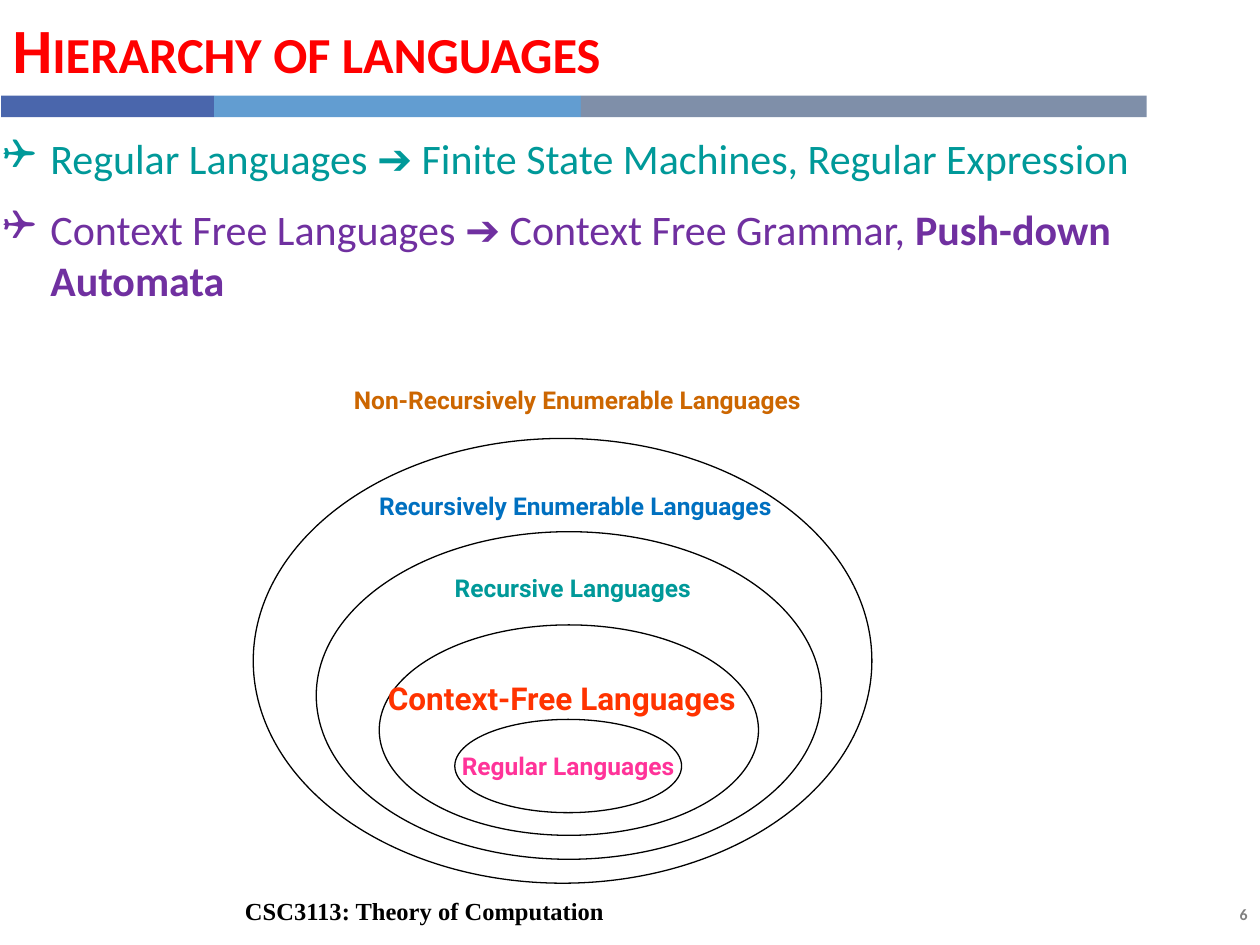
from lxml.etree import SubElement as Sub
from pptx import Presentation as Deck
from pptx.dml.color import RGBColor as Rgb
from pptx.enum.shapes import MSO_SHAPE as Kind
from pptx.enum.text import MSO_ANCHOR as Anchor, MSO_AUTO_SIZE as Fit, PP_ALIGN as Align
from pptx.oxml.ns import qn
from pptx.util import Inches, Pt

INK = {
    "black": "000000", "gray": "808080", "red": "FF0000", "teal": "009999",
    "purple": "7030A0", "pink": "FF3399", "orange": "FF3300", "blue": "0070C0",
    "brown": "CC6600", "navy": "4A66AC", "sky": "629DD1", "slate": "7F8FA9",
}
COLS, ROWS = 100, 75


class Page:
    def __init__(self, deck):
        self.slide = deck.slides.add_slide(deck.slide_layouts[1])
        self.shapes = self.slide.shapes
        self.cell = deck.slide_width / COLS, deck.slide_height / ROWS

    def grid(self, *box):
        return [round(n * self.cell[i % 2]) for i, n in enumerate(box)]

    def move(self, item, *box):
        item.left, item.top, item.width, item.height = self.grid(*box)
        frame = item.text_frame
        frame.auto_size = Fit.NONE
        frame.word_wrap = True
        return frame

    def run(self, para, text, size, ink, font="Roboto", bold=True):
        run = para.add_run()
        run.text = text
        face = run.font
        face.name, face.size, face.bold = font, Pt(size), bold
        face.color.rgb = Rgb.from_string(INK[ink])
        return run

    def title(self, text, *box):
        frame = self.move(self.shapes.title, *box)
        frame.vertical_anchor = Anchor.MIDDLE
        para = frame.paragraphs[0]
        para.alignment, para.space_before = Align.LEFT, Pt(6)
        run = self.run(para, text, 36, "red", "Calibri")
        run.font._element.set("cap", "small")

    def list(self, rows, *box):
        frame = self.move(self.slide.placeholders[1], *box)
        frame.vertical_anchor = Anchor.TOP
        for i, (ink, parts) in enumerate(rows):
            para = frame.add_paragraph() if i else frame.paragraphs[0]
            para.space_before = para.space_after = Pt(6)
            props = para._p.get_or_add_pPr()
            props.set("marL", str(Inches(0.38)))
            props.set("indent", str(-Inches(0.38)))
            Sub(props, qn("a:buFont"), typeface="Wingdings")
            Sub(props, qn("a:buChar"), char="❑")
            for text, bold in parts:
                self.run(para, text, 24, ink, "Calibri", bold)

    def label(self, text, size, ink, *box, font="Roboto", align=Align.LEFT):
        frame = self.move(self.shapes.add_textbox(0, 0, 0, 0), *box)
        para = frame.paragraphs[0]
        para.alignment = align
        self.run(para, text, size, ink, font)

    def bar(self, ink, *box):
        bar = self.shapes.add_shape(Kind.RECTANGLE, *self.grid(*box))
        bar.shadow.inherit = False
        bar.fill.solid()
        bar.fill.fore_color.rgb = Rgb.from_string(INK[ink])
        bar.line.fill.background()

    def ring(self, *box):
        ring = self.shapes.add_shape(Kind.OVAL, *self.grid(*box))
        ring.shadow.inherit = False
        ring.fill.background()
        ring.line.color.rgb = Rgb.from_string(INK["black"])
        ring.line.width = Pt(0.75)
        return ring

    def core(self, text, size, ink, *box):
        frame = self.ring(*box).text_frame
        frame.word_wrap = False
        frame.vertical_anchor = Anchor.MIDDLE
        para = frame.paragraphs[0]
        para.alignment = Align.CENTER
        self.run(para, text, size, ink)


def main():
    deck = Deck()
    deck.slide_width, deck.slide_height = Inches(10), Inches(7.5)
    page = Page(deck)

    left = 0.1
    for ink, wide in (("navy", 16.9), ("sky", 29.1), ("slate", 44.9)):
        page.bar(ink, left, 7.6, wide, 1.7)
        left += wide

    page.title("Hierarchy of languages", 0, 0, 91, 7.6)
    page.list([
        ("teal", [("Regular Languages ➔ Finite State Machines, Regular Expression", False)]),
        ("purple", [("Context Free Languages ➔ Context Free Grammar, ", False),
                    ("Push-down Automata", True)]),
    ], -0.8, 10, 93.8, 51.7)

    page.core("Regular Languages", 14, "pink", 36.1, 57.1, 18, 7.4)
    for box in ((30.1, 49.6, 30.1, 16.7), (25.1, 42.2, 40.1, 26), (20.1, 34.8, 49.1, 35.3)):
        page.ring(*box)

    for text, size, ink, *box in (
        ("Context-Free Languages", 18, "orange", 29.8, 53.4, 38.3, 4.5),
        ("Recursive Languages", 14, "teal", 35.1, 45, 21.8, 3.4),
        ("Recursively Enumerable Languages", 14, "blue", 29.1, 38.5, 35.1, 3.4),
        ("Non-Recursively Enumerable Languages", 14, "brown", 27.1, 30.1, 39.6, 3.4),
    ):
        page.label(text, size, ink, *box)

    page.label("CSC3113: Theory of Computation", 14, "black", 0.2, 70.6, 67, 4,
               font="Times New Roman", align=Align.CENTER)
    page.label("6", 9, "gray", 87.3, 71.3, 12.7, 2.5, font="Calibri", align=Align.RIGHT)
    deck.save("out.pptx")


if __name__ == "__main__":
    main()
